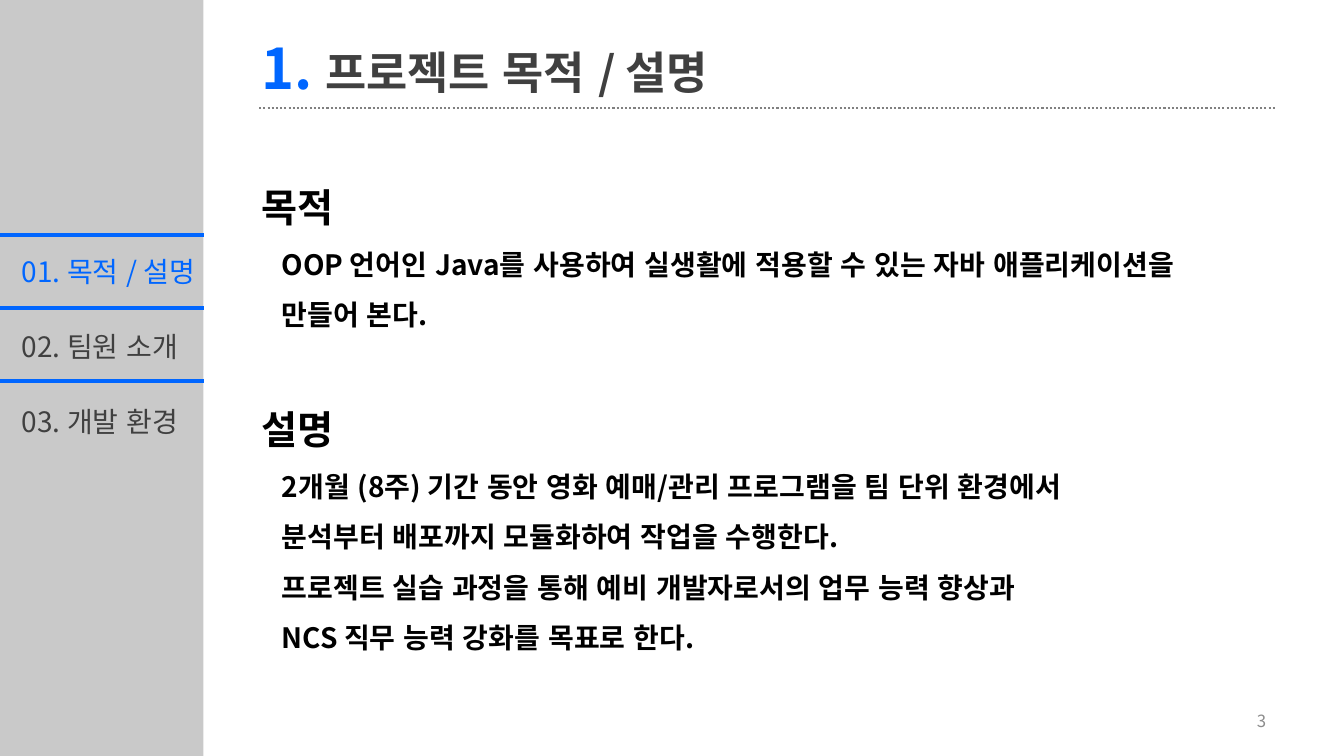
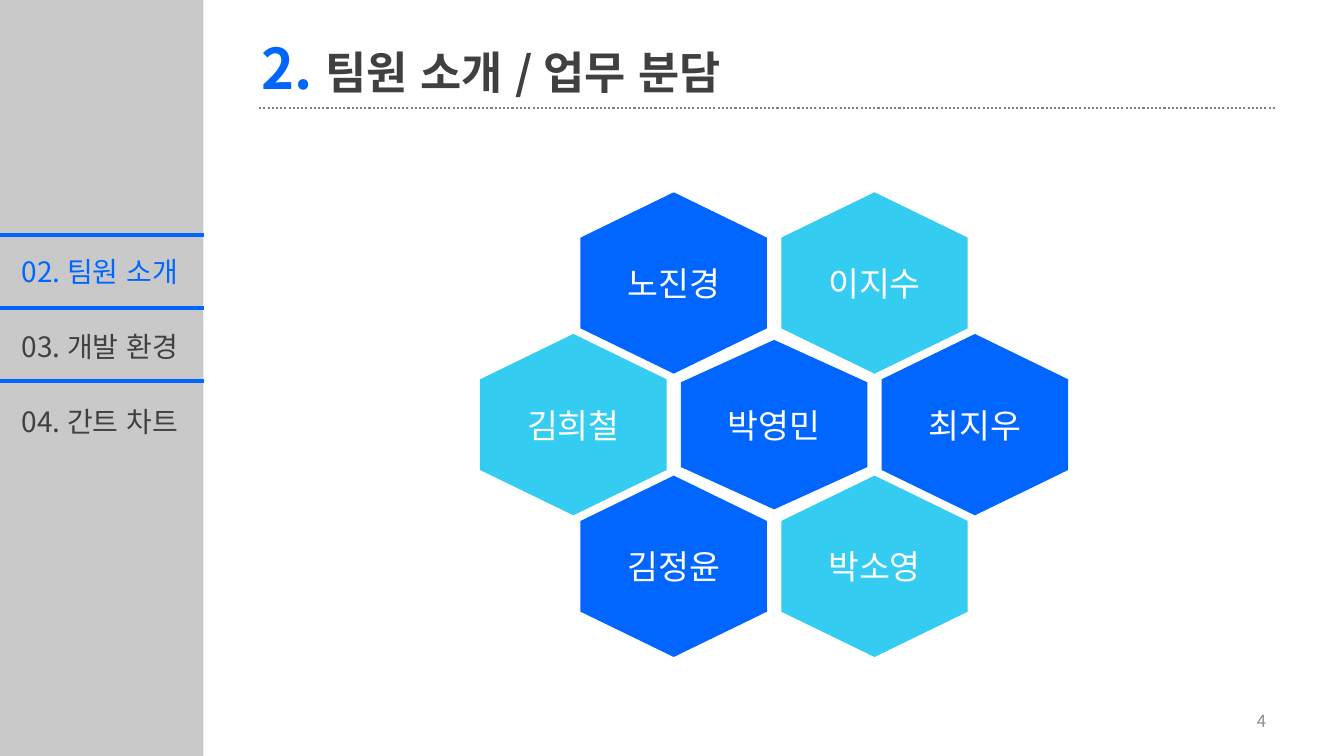
from dataclasses import dataclass
from lxml.etree import SubElement
from pptx import Presentation
from pptx.dml.color import RGBColor as RGB
from pptx.enum.dml import MSO_LINE as Dash
from pptx.enum.lang import MSO_LANGUAGE_ID as Lang
from pptx.enum.shapes import MSO_CONNECTOR as Link, MSO_SHAPE as Shape
from pptx.enum.text import MSO_ANCHOR as Anchor, PP_ALIGN as Align
from pptx.oxml.ns import qn
from pptx.util import Cm, Pt


@dataclass(frozen=True)
class Theme:
    font: str = "Noto Sans CJK KR"
    blue: RGB = RGB(0x00, 0x66, 0xFF)
    cyan: RGB = RGB(0x34, 0xCC, 0xF0)
    black: RGB = RGB(0, 0, 0)
    white: RGB = RGB(0xFF, 0xFF, 0xFF)
    dark: RGB = RGB(0x40, 0x40, 0x40)
    band: RGB = RGB(0x59, 0x59, 0x59)
    rule: RGB = RGB(0x80, 0x80, 0x80)
    pale: RGB = RGB(0x8C, 0x8C, 0x8C)
    number: int = 40
    title: int = 32
    head: int = 28
    name: int = 24
    body: int = 20
    foot: int = 12


T = Theme()


def frame(slide, x, y, w, h, anchor=Anchor.TOP):
    tf = slide.shapes.add_textbox(Cm(x), Cm(y), Cm(w), Cm(h)).text_frame
    tf.word_wrap, tf.vertical_anchor = True, anchor
    return tf


def write(par, text, size=T.body, color=T.dark, bold=False, align=None,
          indent=0, spacing=None, before=0):
    par.alignment = align
    if spacing:
        par.line_spacing = spacing
    if before:
        par.space_before = Pt(before)
    if indent:
        par._p.get_or_add_pPr().set("marL", str(Cm(indent)))
    run = par.add_run()
    run.text = text
    font = run.font
    font.size, font.bold, font.name = Pt(size), bold, T.font
    font.language_id = Lang.KOREAN
    font.color.rgb = color
    SubElement(run._r.get_or_add_rPr(), qn("a:ea"), typeface=T.font)


prs = Presentation()
prs.slide_width, prs.slide_height = Cm(33.87), Cm(19.05)

# Title and page number of each slide; the menu starts at its own section
pages = [("프로젝트 목적 / 설명", 3), ("팀원 소개 / 업무 분담", 4)]
menu = ["목적 / 설명", "팀원 소개", "개발 환경", "간트 차트"]
side, left_edge = 5.13, 6.34
bars = [(0, side, 5.92 + 1.84 * i, T.blue, 3, Dash.SOLID) for i in range(3)]
rules = bars + [(6.53, 32.13, 2.72, T.rule, 1.5, Dash.ROUND_DOT)]

# Shared parts
slides = []
for i, (title, page) in enumerate(pages):
    slide = prs.slides.add_slide(prs.slide_layouts[6])
    slides.append(slide)

    # Side band
    band = slide.shapes.add_shape(Shape.RECTANGLE, 0, 0, Cm(side), prs.slide_height)
    band.shadow.inherit = False
    band.fill.solid()
    band.fill.fore_color.rgb = T.band
    tint = band._element.spPr.find(".//" + qn("a:srgbClr"))
    SubElement(tint, qn("a:alpha"), val="32000")
    band.line.fill.background()

    # Menu bars and title rule
    for left, right, y, color, width, dash in rules:
        rule = slide.shapes.add_connector(Link.STRAIGHT, Cm(left), Cm(y), Cm(right), Cm(y))
        rule.line.color.rgb = color
        rule.line.width = Pt(width)
        rule.line.dash_style = dash
        SubElement(rule._element.spPr, qn("a:effectLst"))

    # Menu entries, the current one in blue; wide enough for one line each
    for row, entry in enumerate(menu[i:i + 3]):
        tf = frame(slide, 0.3, 6.28 + 1.89 * row, 7.8, 1.12)
        write(tf.paragraphs[0], f"{i + row + 1:02}. {entry}",
              color=T.dark if row else T.blue)

    # Title
    par = frame(slide, left_edge, 0.72, 25.8, 1.96).paragraphs[0]
    write(par, f"{i + 1}. ", size=T.number, color=T.blue, bold=True)
    write(par, title, size=T.title, bold=True)

    # Page number
    tf = frame(slide, 24.26, 17.65, 7.9, 1.02, anchor=Anchor.MIDDLE)
    write(tf.paragraphs[0], str(page), size=T.foot, color=T.pale, align=Align.RIGHT)

goal, team = slides

# Purpose and description
parts = [
    ("목적", ["OOP 언어인 Java를 사용하여 실생활에 적용할 수 있는 자바 애플리케이션을",
              "만들어 본다."]),
    ("설명", ["2개월 (8주) 기간 동안 영화 예매/관리 프로그램을 팀 단위 환경에서",
              "분석부터 배포까지 모듈화하여 작업을 수행한다.",
              "프로젝트 실습 과정을 통해 예비 개발자로서의 업무 능력 향상과",
              "NCS 직무 능력 강화를 목표로 한다."]),
]
tf = frame(goal, left_edge, 3.91, 26.2, 12.83)
look = dict(color=T.black, bold=True, spacing=1.5)
for i, (head, lines) in enumerate(parts):
    par = tf.add_paragraph() if i else tf.paragraphs[0]
    write(par, head, size=T.head, before=36 * i, **look)
    for line in lines:
        write(tf.add_paragraph(), line, indent=0.51, **look)

# Team honeycomb: column in half steps, row, name, fill, height
cells = [
    (1, 0, "노진경", T.blue, 4.57), (3, 0, "이지수", T.cyan, 4.57),
    (0, 1, "김희철", T.cyan, 4.57), (2, 1, "박영민", T.blue, 4.27),
    (4, 1, "최지우", T.blue, 4.57),
    (1, 2, "김정윤", T.blue, 4.57), (3, 2, "박소영", T.cyan, 4.57),
]
wide, box_w, box_h = 4.7, 3.8, 1.28
for col, row, name, color, tall in cells:
    x, y = 14.45 + 2.53 * col, 7.13 + 3.57 * row
    # The turned hexagon swaps width and height
    hexa = team.shapes.add_shape(Shape.HEXAGON, Cm(x - tall / 2), Cm(y - wide / 2),
                                 Cm(tall), Cm(wide))
    hexa.rotation = 270
    hexa.shadow.inherit = False
    hexa.fill.solid()
    hexa.fill.fore_color.rgb = color
    hexa.line.fill.background()
    tf = frame(team, x - box_w / 2, y - box_h / 2, box_w, box_h, anchor=Anchor.MIDDLE)
    write(tf.paragraphs[0], name, size=T.name, color=T.white, align=Align.CENTER)

prs.save("out.pptx")
